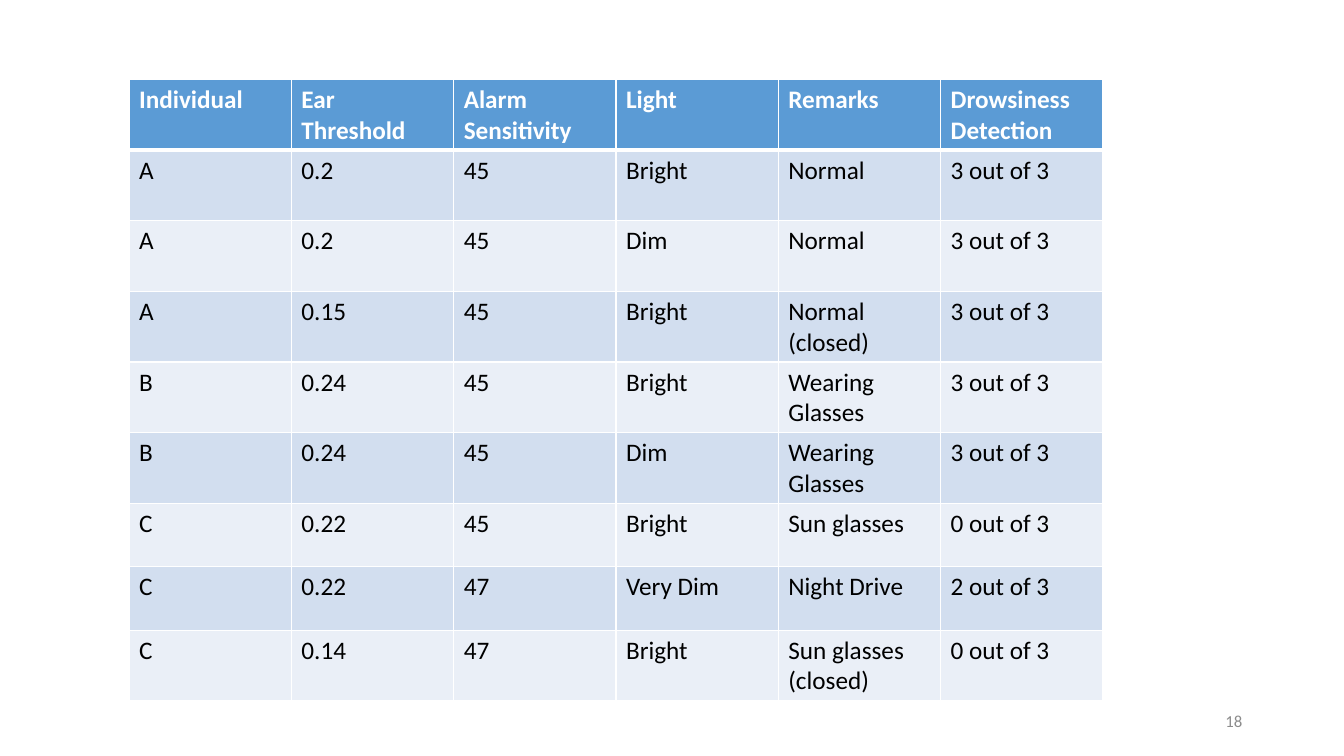
from dataclasses import dataclass

from lxml import etree
from pptx import Presentation, util as u
from pptx.dml import color
from pptx.enum import text
from pptx.oxml import ns


@dataclass(frozen=True)
class Theme:
    font: str = "Calibri"
    header_fill: str = "5B9BD5"
    band_fills: tuple = ("D2DEEF", "EAEFF7")
    white: str = "FFFFFF"
    black: str = "000000"
    grey: str = "8C8C8C"
    table_size: int = 18
    number_size: int = 12
    thin: int = 1
    thick: int = 3


class SlideBuilder:
    def __init__(self, page, theme):
        self.page = page
        self.theme = theme

    def set_words(self, frame, words, size, ink, bold=False, align=None):
        """Fill a text frame and give every paragraph one format."""
        frame.text = words
        for para in frame.paragraphs:
            para.alignment = align
            for span in para.runs:
                span.font.name = self.theme.font
                span.font.size = u.Pt(size)
                span.font.bold = bold
                span.font.color.rgb = color.RGBColor.from_string(ink)

    def page_number(self, number, left, top, width, height):
        box = self.page.shapes.add_textbox(
            u.Inches(left), u.Inches(top), u.Inches(width), u.Inches(height))
        frame = box.text_frame
        frame.word_wrap = True
        frame.vertical_anchor = text.MSO_ANCHOR.MIDDLE
        self.set_words(frame, number, self.theme.number_size, self.theme.grey,
                       align=text.PP_ALIGN.RIGHT)

    def borders(self, cell, widths):
        """Draw white cell edges; widths maps edge letter to points."""
        properties = cell._tc.get_or_add_tcPr()
        for edge, width in widths.items():
            line = etree.SubElement(properties, ns.qn(f"a:ln{edge}"),
                                    w=str(u.Pt(width)))
            fill = etree.SubElement(line, ns.qn("a:solidFill"))
            etree.SubElement(fill, ns.qn("a:srgbClr"), val=self.theme.white)

    def table(self, rows, left, top, column_width, row_heights):
        theme = self.theme
        columns = len(rows[0])
        table = self.page.shapes.add_table(
            len(rows), columns, u.Inches(left), u.Inches(top),
            u.Inches(column_width * columns), u.Inches(sum(row_heights))).table
        table.horz_banding = False
        for column in table.columns:
            column.width = u.Inches(column_width)
        for index, (words, height) in enumerate(zip(rows, row_heights)):
            table.rows[index].height = u.Inches(height)
            header = index == 0
            fill = theme.header_fill if header else theme.band_fills[(index - 1) % 2]
            widths = {"L": theme.thin, "R": theme.thin,
                      "T": theme.thick if index == 1 else theme.thin,
                      "B": theme.thick if header else theme.thin}
            for cell, entry in zip(table.rows[index].cells, words):
                self.borders(cell, widths)
                cell.fill.solid()
                cell.fill.fore_color.rgb = color.RGBColor.from_string(fill)
                self.set_words(cell.text_frame, entry, theme.table_size,
                               theme.white if header else theme.black, bold=header)


RESULTS = [
    ("Individual", "Ear Threshold", "Alarm Sensitivity", "Light", "Remarks",
     "Drowsiness\nDetection"),
    ("A", "0.2", "45", "Bright", "Normal", "3 out of 3"),
    ("A", "0.2", "45", "Dim", "Normal", "3 out of 3"),
    ("A", "0.15", "45", "Bright", "Normal\n(closed)", "3 out of 3"),
    ("B", "0.24", "45", "Bright", "Wearing Glasses", "3 out of 3"),
    ("B", "0.24", "45", "Dim", "Wearing Glasses", "3 out of 3"),
    ("C", "0.22", "45", "Bright", "Sun glasses", "0 out of 3"),
    ("C", "0.22", "47", "Very Dim", "Night Drive", "2 out of 3"),
    ("C", "0.14", "47", "Bright", "Sun glasses\n(closed)", "0 out of 3"),
]


def main():
    deck = Presentation()
    deck.slide_width, deck.slide_height = u.Inches(13.33), u.Inches(7.5)
    builder = SlideBuilder(deck.slides.add_slide(deck.slide_layouts[6]), Theme())

    # Page number
    builder.page_number("18", 9.42, 6.95, 3, 0.4)

    # Test results: two rows are shorter than the rest
    heights = [0.7] * 6 + [0.63] * 2 + [0.7]
    builder.table(RESULTS, 1.28, 0.79, 1.61, heights)

    deck.save("out.pptx")


if __name__ == "__main__":
    main()
